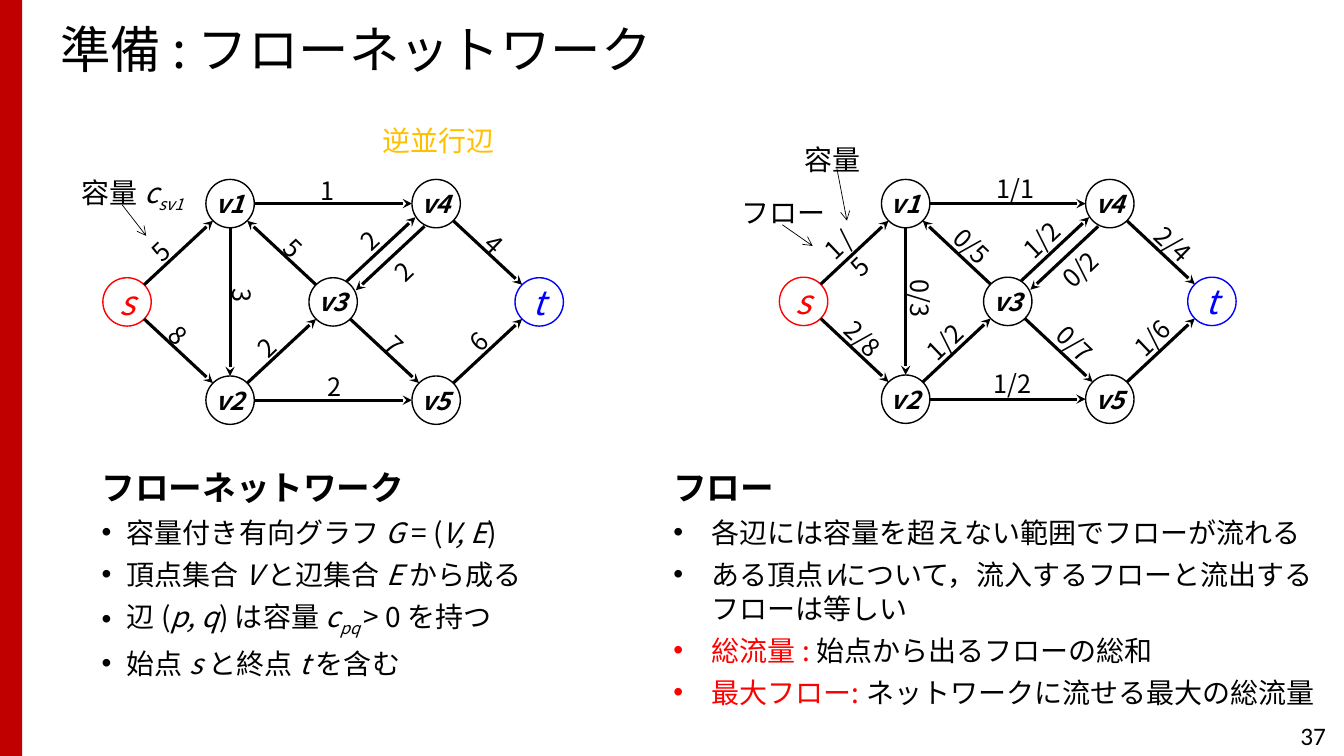
from math import atan, atan2, degrees, pi
from lxml.etree import SubElement
from pptx import Presentation
from pptx.dml.color import RGBColor
from pptx.enum.shapes import MSO_CONNECTOR, MSO_SHAPE
from pptx.enum.text import MSO_ANCHOR, PP_ALIGN
from pptx.oxml.ns import qn
from pptx.util import Inches, Pt

COLORS = {"black": "000000", "red": "FF0000", "blue": "0000FF", "gold": "FFC000", "bar": "C00000"}
FONT = "Noto Sans CJK JP"

# Node: column, row, colour
NODES = {
    "s": (0, 1, "red"), "v1": (1, 0, "black"), "v2": (1, 2, "black"), "v3": (2, 1, "black"),
    "v4": (3, 0, "black"), "v5": (3, 2, "black"), "t": (4, 1, "blue"),
}
# Edge: from, to, sideways shift
EDGES = [
    ("s", "v1", 0), ("s", "v2", 0), ("v1", "v2", 0), ("v2", "v3", 0),
    ("v1", "v4", 0), ("v3", "v4", -0.035), ("v4", "t", 0), ("v5", "t", 0),
    ("v3", "v5", 0), ("v2", "v5", 0), ("v3", "v1", 0), ("v4", "v3", 0.055),
]
# Labels follow the order of EDGES: text, centre x, centre y
NETS = [
    {"left": 1.26, "top": 2.02, "dx": 1.022, "dy": 0.975, "wide": 0.16, "labels": [
        ("5", 1.59, 2.49), ("8", 1.77, 3.32), ("3", 2.41, 2.93), ("2", 2.64, 3.45),
        ("1", 3.25, 1.89), ("2", 3.67, 2.38), ("4", 4.9, 2.42), ("6", 4.75, 3.39),
        ("7", 3.91, 3.42), ("2", 3.32, 3.83), ("5", 2.91, 2.46), ("2", 4, 2.69)]},
    {"left": 7.97, "top": 2.02, "dx": 1.0125, "dy": 0.97, "wide": 0.43, "labels": [
        ([("1", ""), (" ", "s"), ("/", ""), (" ", "s"), ("5", "")], 8.32, 2.43),
        ("2/8", 8.56, 3.36), ("0/3", 9.13, 2.96), ("1/2", 9.37, 3.39),
        ("1/1", 10.07, 1.87), ("1/2", 10.33, 2.38), ("2/4", 11.64, 2.42), ("1/6", 11.43, 3.35),
        ("0/7", 10.66, 3.41), ("1/2", 10.04, 3.8), ("0/5", 9.64, 2.44), ("0/2", 10.71, 2.67)]},
]
# Note: text, box, colour
NOTES = [
    ("逆並行辺", (3.79, 1.23, 1.12, 0.34), "gold"),
    ([("容量 ", ""), ("c", "i"), ("sv1", "i_")], (0.81, 1.74, 1.11, 0.34), "black"),
    ("容量", (7.98, 1.41, 0.56, 0.34), "black"),
    ("フロー", (7.35, 1.94, 0.84, 0.34), "black"),
]
POINTERS = [((1.21, 2.03), (1.45, 2.34)), ((8.3, 1.67), (8.4, 2.19)), ((7.76, 2.23), (8.06, 2.44))]
CURVE = [(4.25, 1.54), (4.21, 1.57), (4.11, 1.57), (4.02, 1.64), (3.94, 1.72),
         (3.78, 1.85), (3.76, 1.96), (3.75, 2.07), (3.86, 2.21), (3.94, 2.29)]

# Run styles: i italic, _ subscript, r red, s small
LISTS = [
    ("フローネットワーク", (0.91, 4.58, 5.9, 2.39), 0.25, [
        [("容量付き有向グラフ ", ""), ("G", "i"), (" = (", ""), ("V, E", "i"), (")", "")],
        [("頂点集合 ", ""), ("V ", "i"), ("と辺集合 ", ""), ("E ", "i"), ("から成る", "")],
        [("辺 (", ""), ("p, q", "i"), (") は容量 ", ""), ("c", "i"), ("pq ", "i_"), ("> 0 を持つ", "")],
        [("始点 ", ""), ("s ", "i"), ("と終点 ", ""), ("t ", "i"), ("を含む", "")]]),
    ("フロー", (6.58, 4.58, 6.76, 2.92), 0.38, [
        "各辺には容量を超えない範囲でフローが流れる",
        [("ある頂点", ""), ("v", "i"), ("について，流入するフローと流出するフローは等しい", "")],
        [("総流量 : ", "r"), ("始点から出るフローの総和", "")],
        [("最大フロー: ", "r"), ("ネットワークに流せる最大の総流量", "")]]),
]

deck = Presentation()
deck.slide_width, deck.slide_height = Inches(13.33), Inches(7.5)
slide = deck.slides.add_slide(deck.slide_layouts[6])
shapes = slide.shapes


def rgb(name):
    return RGBColor.from_string(COLORS[name])


def write(para, text, size=18, color="black", font=FONT, bold=False, italic=False,
          align=PP_ALIGN.LEFT, before=0, spacing=None, indent=0):
    """Fill a paragraph with a string or with (string, style) runs."""
    if indent:
        props = para._p.get_or_add_pPr()
        props.set("marL", str(Inches(indent)))
        props.set("indent", str(-Inches(indent)))
        SubElement(props, qn("a:buFont"), typeface="Arial")
        SubElement(props, qn("a:buChar"), char="•")
    para.alignment, para.space_before = align, Pt(before)
    if spacing:
        para.line_spacing = spacing
    for part, style in [(text, "")] if isinstance(text, str) else text:
        run = para.add_run()
        run.text = part
        face = run.font
        face.name, face.bold, face.italic = font, bold, italic or "i" in style
        face.size = Pt(11 if "s" in style else size)
        face.color.rgb = rgb("red" if "r" in style else color)
        props = run._r.get_or_add_rPr()
        SubElement(props, qn("a:ea"), typeface=font)
        if "_" in style:
            props.set("baseline", "-25000")


def add_box(box, inset=True, wrap=True, anchor=MSO_ANCHOR.TOP, turn=0):
    shape = shapes.add_textbox(*map(Inches, box))
    shape.rotation = turn
    frame = shape.text_frame
    frame.word_wrap, frame.vertical_anchor = wrap, anchor
    if not inset:
        clear(frame)
    return frame


def clear(frame):
    frame.margin_left = frame.margin_right = frame.margin_top = frame.margin_bottom = 0


def tip(shape, kind):
    SubElement(shape.line._get_or_add_ln(), qn("a:tailEnd"), type=kind)


def add_arrow(start, end, width, kind):
    line = shapes.add_connector(MSO_CONNECTOR.STRAIGHT, *map(Inches, (*start, *end)))
    line.line.color.rgb, line.line.width = rgb("black"), Pt(width)
    tip(line, kind)
    SubElement(line._element.spPr, qn("a:effectLst"))


def add_node(name, x, y, color):
    node = shapes.add_shape(MSO_SHAPE.OVAL, *map(Inches, (x - 0.24, y - 0.24, 0.48, 0.48)))
    node.shadow.inherit = False
    node.fill.background()
    node.line.color.rgb, node.line.width = rgb(color), Pt(1)
    frame = node.text_frame
    frame.word_wrap, frame.vertical_anchor = False, MSO_ANCHOR.MIDDLE
    clear(frame)
    inner = color == "black"
    write(frame.paragraphs[0], name, size=18 if inner else 24, color=color,
          bold=inner, italic=True, align=PP_ALIGN.CENTER)


def add_net(left, top, dx, dy, wide, labels):
    spots = {}
    for name, (col, row, color) in NODES.items():
        spots[name] = left + col * dx, top + row * dy
        add_node(name, *spots[name], color)
    for (tail, head, shift), (text, x, y) in zip(EDGES, labels):
        (x1, y1), (x2, y2) = spots[tail], spots[head]
        run, rise = x2 - x1, y2 - y1
        reach = 0.17 if run and rise else 0.24
        sx, sy = (run > 0) - (run < 0), (rise > 0) - (rise < 0)
        add_arrow((x1 + sx * reach + shift, y1 + sy * reach + shift),
                  (x2 - sx * reach + shift, y2 - sy * reach + shift), 2.25, "stealth")
        turn = degrees(atan(rise / run) if run else pi / 2)
        frame = add_box((x - wide / 2, y - 0.15, wide, 0.3), inset=False, wrap=False, turn=turn)
        write(frame.paragraphs[0], text, align=PP_ALIGN.CENTER)


def add_curve(points, steps=10):
    """Draw joined cubic curves as one open outline."""
    track = []
    for k in range(0, len(points) - 1, 3):
        for n in range(1, steps + 1):
            t = n / steps
            mix = ((1 - t) ** 3, 3 * t * (1 - t) ** 2, 3 * t * t * (1 - t), t ** 3)
            track.append([sum(m * p[i] for m, p in zip(mix, points[k:k + 4])) for i in (0, 1)])
    pen = shapes.build_freeform(*points[0], scale=Inches(1))
    pen.add_line_segments(track, close=False)
    curve = pen.convert_to_shape()
    curve.shadow.inherit = False
    curve.fill.background()
    curve.line.color.rgb, curve.line.width = rgb("gold"), Pt(1.5)
    tip(curve, "stealth")


bar = shapes.add_shape(MSO_SHAPE.RECTANGLE, 0, 0, Inches(0.22), Inches(7.5))
bar.shadow.inherit = False
bar.fill.solid()
bar.fill.fore_color.rgb = rgb("bar")
bar.line.fill.background()

title = add_box((0.5, 0.12, 12.55, 0.8), anchor=MSO_ANCHOR.MIDDLE)
write(title.paragraphs[0], "準備 : フローネットワーク", size=36, spacing=0.9)
for net in NETS:
    add_net(**net)
for text, box, color in NOTES:
    write(add_box(box, inset=False, wrap=False).paragraphs[0], text, size=20, color=color)
for start, end in POINTERS:
    add_arrow(start, end, 0.5, "arrow")
add_curve(CURVE)
for head, box, indent, items in LISTS:
    frame = add_box(box)
    write(frame.paragraphs[0], head, size=24, bold=True)
    for item in items:
        write(frame.add_paragraph(), item, size=20, before=6, indent=indent)
number = add_box((10.25, 7.1, 3, 0.4))
write(number.paragraphs[0], "37", font="Calibri", align=PP_ALIGN.RIGHT)

deck.save("out.pptx")
